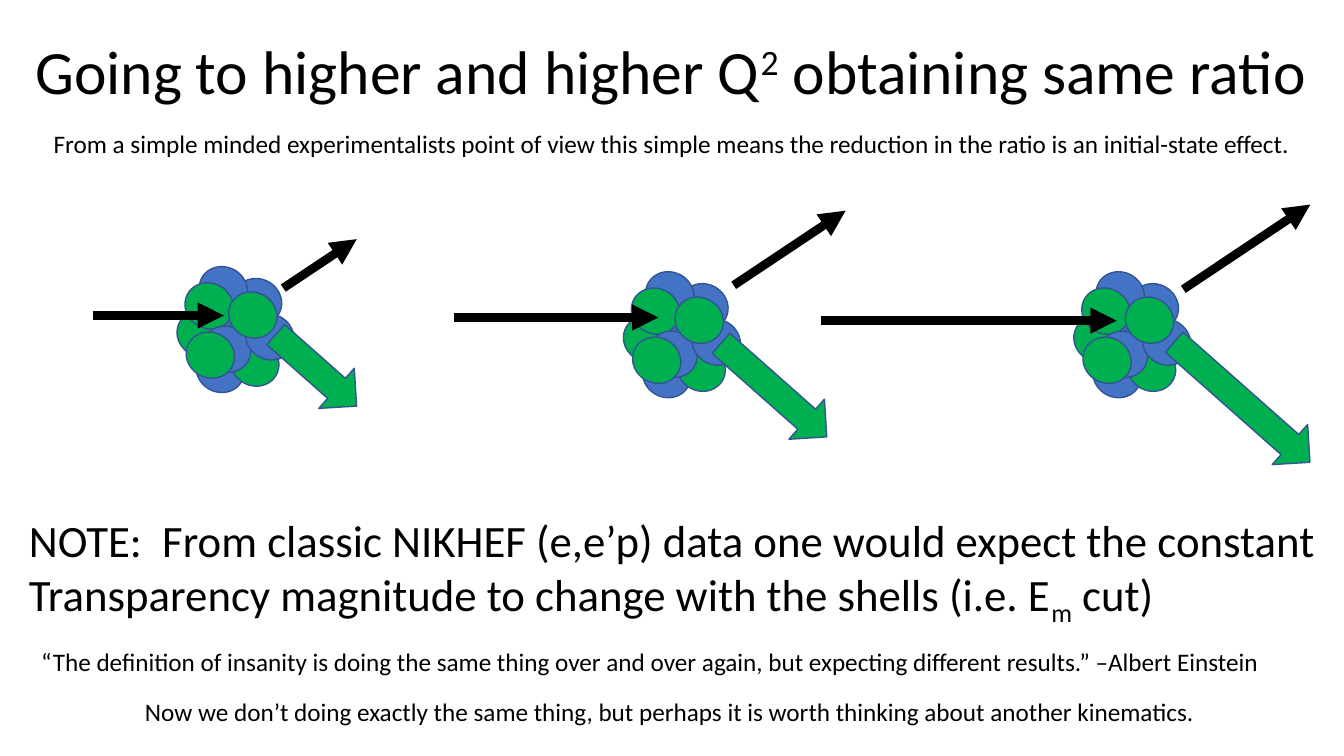
from dataclasses import dataclass
from math import cos, radians, sin

from lxml.etree import SubElement
from pptx import Presentation
from pptx.dml.color import RGBColor
from pptx.enum.shapes import MSO_CONNECTOR, MSO_SHAPE
from pptx.enum.text import MSO_ANCHOR, MSO_AUTO_SIZE, PP_ALIGN
from pptx.oxml.ns import qn
from pptx.util import Cm, Pt

COLOURS = {"proton": "00B050", "neutron": "4472C4", "outline": "325491", "ink": "000000"}
FONT = "Calibri"
NUCLEON_WIDTH, NUCLEON_HEIGHT = 1.24, 1.14
KNOCKOUT_WIDTH, KNOCKOUT_ROTATION = 1.35, 311.5
SCATTER_SLOPE = 2 / 3

# Nucleons from back to front: kind and offset in cm from the nucleus corner
NUCLEONS = [
    ("neutron", 0.66, 0.76), ("neutron", 1.42, 0.3), ("neutron", 0.56, 0),
    ("neutron", 0.48, 2.01), ("proton", 0, 1.12), ("proton", 1.22, 1.24),
    ("proton", 1.35, 1.85), ("proton", 0.2, 0.41), ("neutron", 0.64, 1.5),
    ("proton", 0.23, 1.65), ("neutron", 1.73, 1.19), ("proton", 1.3, 0.64),
]


@dataclass
class Event:
    """One scattering event in cm; points are offsets from the nucleus corner."""
    left: float
    top: float
    beam_tip: tuple
    beam_length: float
    scatter_start: tuple
    scatter_run: float
    knockout_tail: tuple
    knockout_length: float


EVENTS = [
    Event(4.45, 6.73, (1.19, 1.22), 3.3, (2.69, 0.53), 1.85, (2.5, 1.7), 2.72),
    Event(15.7, 6.86, (0.89, 1.14), 5.16, (2.79, 0.33), 2.82, (2.47, 1.79), 3.56),
    Event(27.05, 6.86, (1.09, 1.22), 7.44, (2.77, 0.43), 3.2, (2.54, 1.76), 4.57),
]


def rgb(name):
    return RGBColor.from_string(COLOURS[name])


def add_text(slide, box, paragraphs, size, align=PP_ALIGN.LEFT, wrap=True):
    """Place paragraphs, each a list of (text, baseline percent) runs."""
    text_box = slide.shapes.add_textbox(*map(Cm, box))
    frame = text_box.text_frame
    frame.word_wrap = wrap
    frame.auto_size = MSO_AUTO_SIZE.SHAPE_TO_FIT_TEXT
    for index, runs in enumerate(paragraphs):
        para = frame.paragraphs[0] if index == 0 else frame.add_paragraph()
        para.alignment = align
        for text, baseline in runs:
            span = para.add_run()
            span.text = text
            span.font.name = FONT
            span.font.size = Pt(size)
            span.font.color.rgb = rgb("ink")
            if baseline:
                span.font._element.set("baseline", str(baseline * 1000))
    return frame


def add_title(slide, box):
    runs = [("Going to higher and higher Q", 0), ("2", 30), (" obtaining same ratio", 0)]
    frame = add_text(slide, box, [runs], 44, PP_ALIGN.CENTER)
    frame.auto_size = MSO_AUTO_SIZE.NONE
    frame.vertical_anchor = MSO_ANCHOR.MIDDLE
    frame.paragraphs[0].line_spacing = 0.9


def add_particle(shapes, preset, box, colour, rotation):
    shape = shapes.add_shape(preset, *map(Cm, box))
    shape.rotation = rotation
    shape.shadow.inherit = False
    shape.fill.solid()
    shape.fill.fore_color.rgb = rgb(colour)
    shape.line.color.rgb = rgb("outline")
    shape.line.width = Pt(1)


def add_electron(slide, start, end):
    """Draw a thick black arrow between two points in cm."""
    arrow = slide.shapes.add_connector(MSO_CONNECTOR.STRAIGHT, *map(Cm, start + end))
    arrow.line.color.rgb = rgb("ink")
    arrow.line.width = Pt(6.25)
    SubElement(arrow.line._get_or_add_ln(), qn("a:tailEnd"), type="triangle")
    SubElement(arrow._element.spPr, qn("a:effectLst"))


def add_nucleus(slide, left, top):
    nucleus = slide.shapes.add_group_shape()
    for kind, x, y in NUCLEONS:
        box = (left + x, top + y, NUCLEON_WIDTH, NUCLEON_HEIGHT)
        add_particle(nucleus.shapes, MSO_SHAPE.OVAL, box, kind, 29)


def add_knockout(slide, tail, length):
    """Draw the outgoing proton as a block arrow leaving from its tail point."""
    angle = radians(KNOCKOUT_ROTATION)
    centre_x = tail[0] - sin(angle) * length / 2
    centre_y = tail[1] + cos(angle) * length / 2
    box = (centre_x - KNOCKOUT_WIDTH / 2, centre_y - length / 2, KNOCKOUT_WIDTH, length)
    add_particle(slide.shapes, MSO_SHAPE.DOWN_ARROW, box, "proton", KNOCKOUT_ROTATION)


def add_event(slide, event):
    def place(offset):
        return event.left + offset[0], event.top + offset[1]

    add_nucleus(slide, event.left, event.top)
    tip_x, tip_y = place(event.beam_tip)
    add_electron(slide, (tip_x - event.beam_length, tip_y), (tip_x, tip_y))
    x, y = place(event.scatter_start)
    add_electron(slide, (x, y), (x + event.scatter_run, y - event.scatter_run * SCATTER_SLOPE))
    add_knockout(slide, place(event.knockout_tail), event.knockout_length)


def add_note(slide, box):
    add_text(slide, box, [
        [("NOTE:  From classic NIKHEF (e,e’p) data one would expect the constant", 0)],
        [("Transparency magnitude to change with the shells (i.e. E", 0), ("m", -25), (" cut)", 0)],
    ], 32, wrap=False)


def add_remarks(slide):
    add_text(slide, (0.79, 16.15, 31.95, 1.02), [[(
        "“The definition of insanity is doing the same thing over and over again, "
        "but expecting different results.” –Albert Einstein", 0)]], 18, wrap=False)
    add_text(slide, (0, 3.1, 33.86, 1.02), [[(
        "From a simple minded experimentalists point of view this simple means "
        "the reduction in the ratio is an initial-state effect.", 0)]], 18, PP_ALIGN.CENTER)
    add_text(slide, (0, 17.42, 33.76, 1.02), [[(
        "Now we don’t doing exactly the same thing, but perhaps it is worth "
        "thinking about another kinematics.", 0)]], 18, PP_ALIGN.CENTER)


def main():
    deck = Presentation()
    deck.slide_width, deck.slide_height = Cm(33.87), Cm(19.05)
    slide = deck.slides.add_slide(deck.slide_layouts[6])
    add_title(slide, (0, 0.03, 33.81, 3.68))
    add_note(slide, (0.48, 12.8, 33.27, 3))
    for event in EVENTS:
        add_event(slide, event)
    add_remarks(slide)
    deck.save("out.pptx")


if __name__ == "__main__":
    main()
